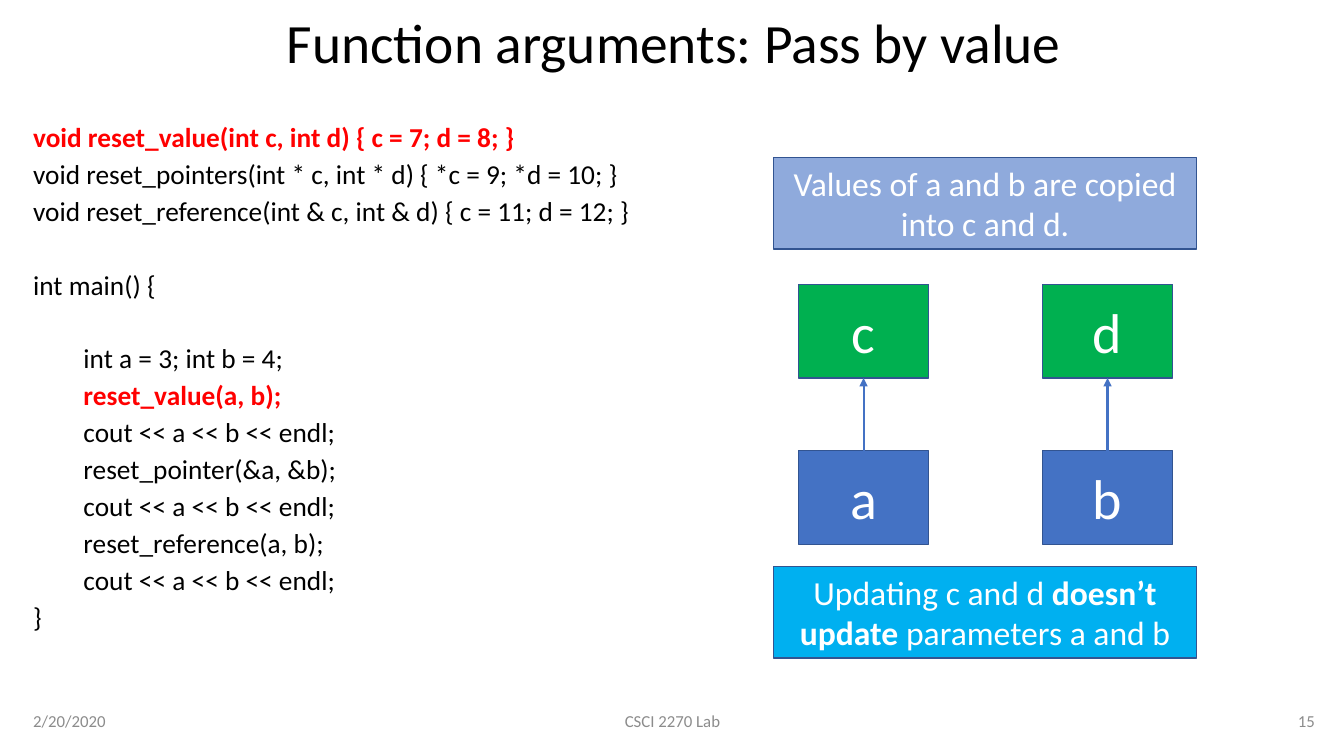
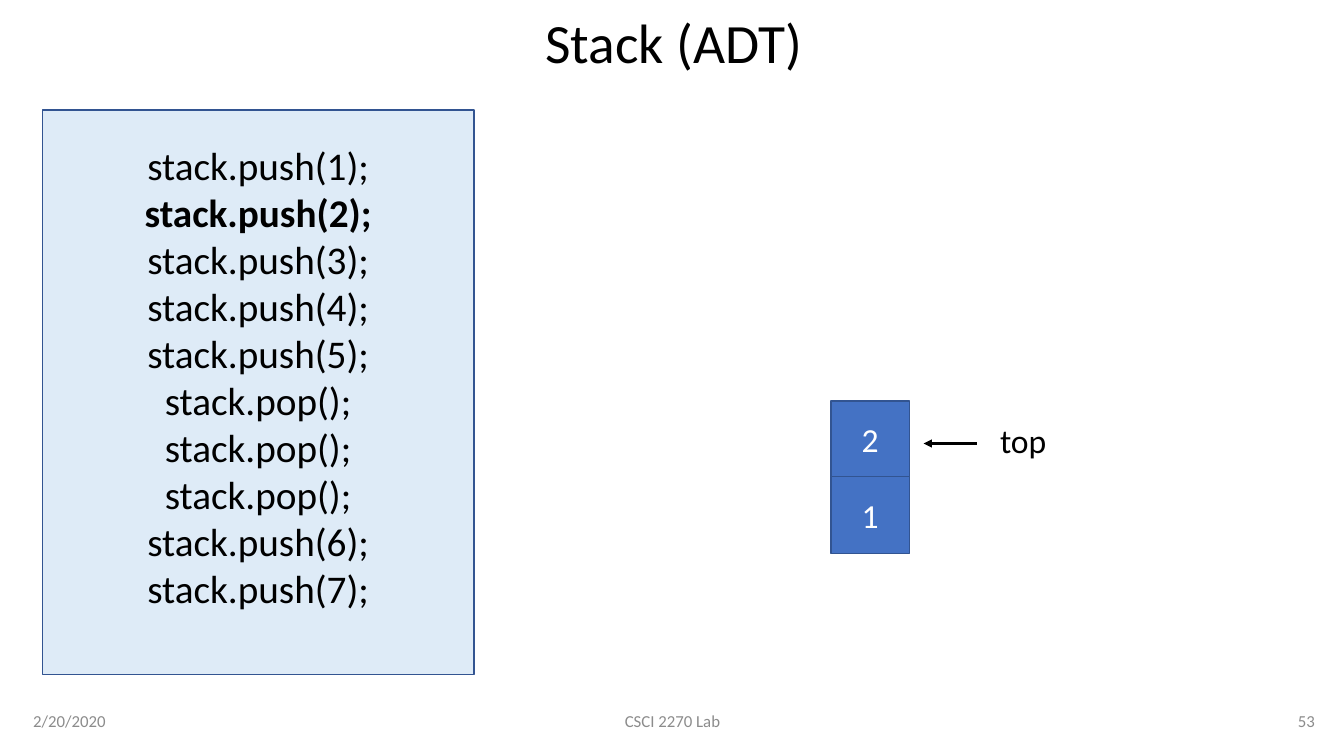
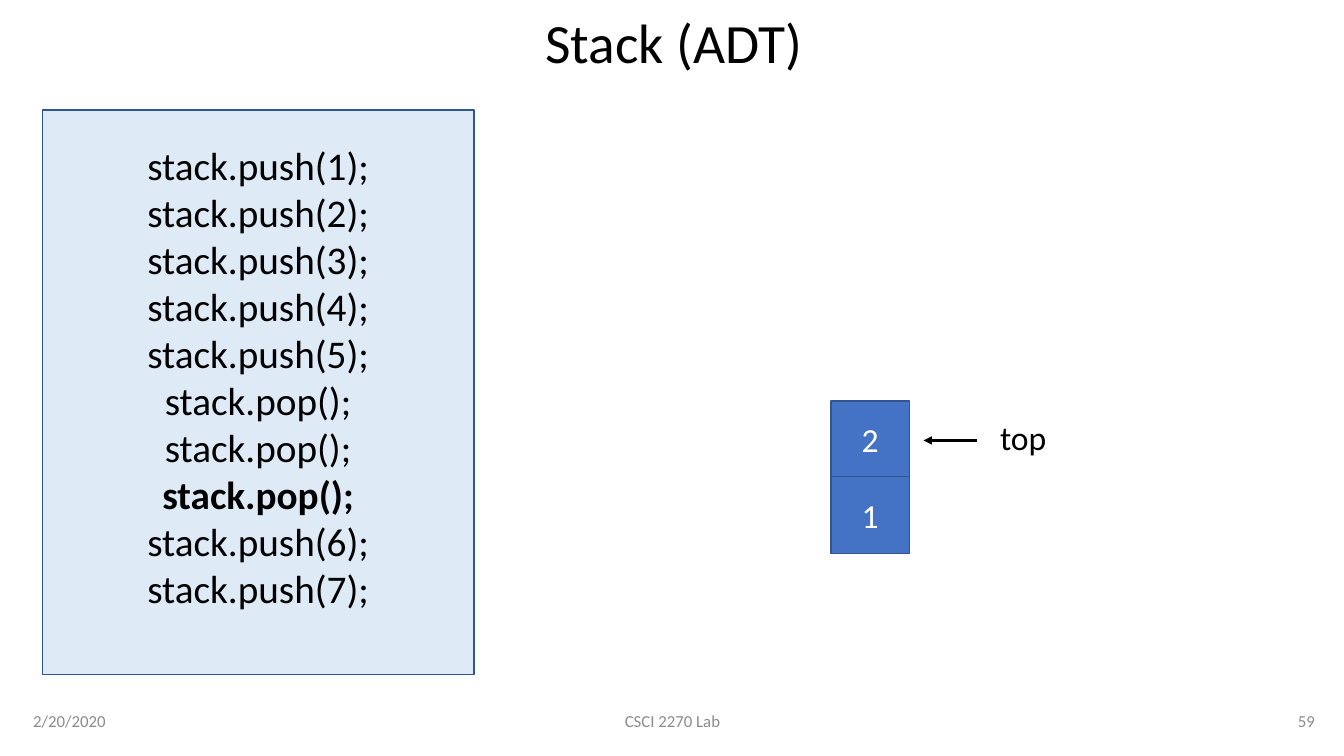
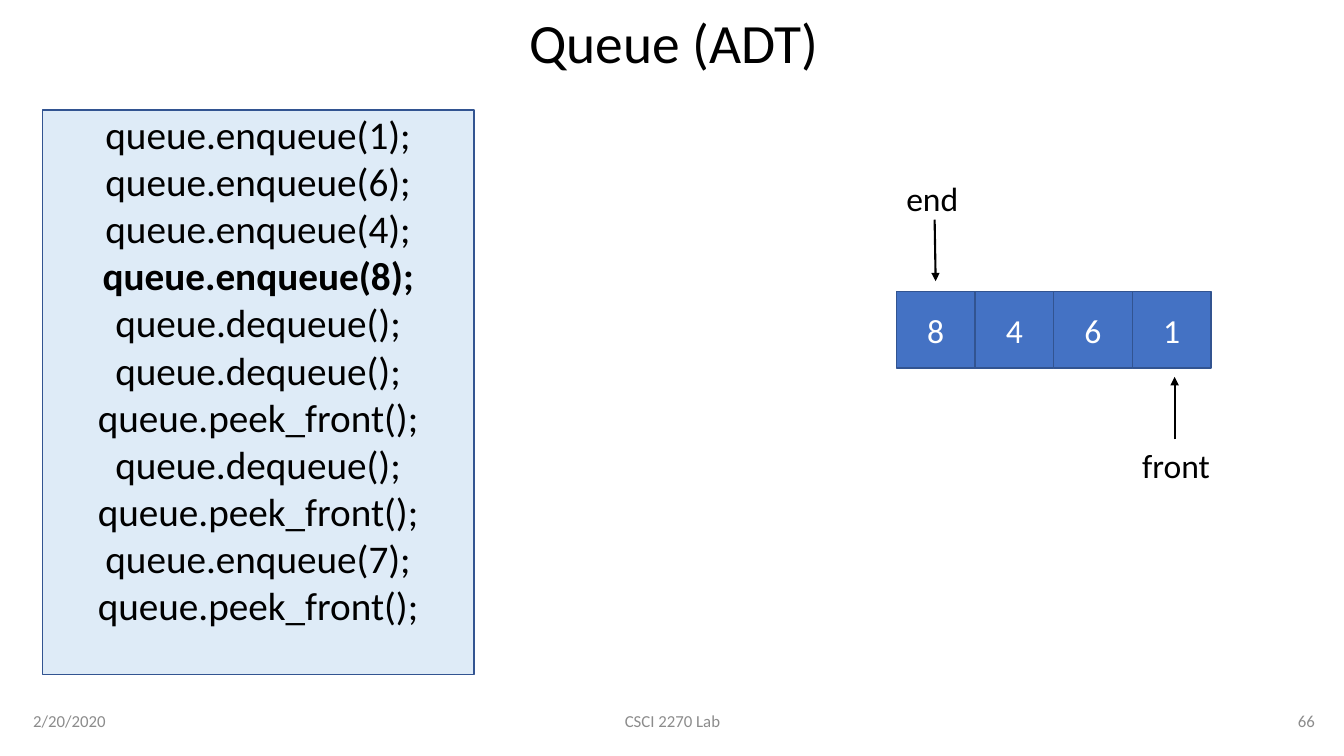
from dataclasses import dataclass

from pptx import Presentation
from pptx import util as u
from pptx.dml.color import RGBColor
from pptx.enum import shapes, text
from pptx.oxml import ns
from lxml import etree

PX = u.Inches(1) // 100


@dataclass(frozen=True)
class Theme:
    font: str = "Calibri"
    black: str = "000000"
    white: str = "FFFFFF"
    red: str = "FF0000"
    grey: str = "8C8C8C"
    blue: str = "4472C4"
    edge: str = "325491"
    green: str = "00B050"
    soft_blue: str = "8FAADC"
    sky: str = "00B0F0"
    panel: str = "DEEBF7"
    title_size: float = 39.6
    node_size: int = 40
    panel_size: int = 28
    label_size: int = 24
    code_size: float = 19.5
    code_pitch: float = 26.4
    footer_size: int = 12


THEME = Theme()
LEFT, CENTER, RIGHT = text.PP_ALIGN.LEFT, text.PP_ALIGN.CENTER, text.PP_ALIGN.RIGHT
TOP, MIDDLE = text.MSO_ANCHOR.TOP, text.MSO_ANCHOR.MIDDLE

DATE, COURSE = "2/20/2020", "CSCI 2270 Lab"
TITLE_BOX = (23, 15, 1291, 60)
FOOTER_BOXES = [((23, 695, 300, 40), LEFT), ((442, 695, 450, 40), CENTER), ((1014, 695, 300, 40), RIGHT)]
CODE_BOX = (23, 110, 700, 540)
PANEL_BOX = (42, 109, 428, 560)
CELL_W, CELL_H = 78, 76
NODE_W, NODE_H = 129, 93

CODE_BLOCKS = [
    [
        "void reset_value(int c, int d) { c = 7; d = 8; }",
        "void reset_pointers(int * c, int * d) { *c = 9; *d = 10; }",
        "void reset_reference(int & c, int & d) { c = 11; d = 12; }",
    ],
    ["int main() {"],
    [
        "\tint a = 3; int b = 4;",
        "\treset_value(a, b);",
        "\tcout << a << b << endl;",
        "\treset_pointer(&a, &b);",
        "\tcout << a << b << endl;",
        "\treset_reference(a, b);",
        "\tcout << a << b << endl;",
        "}",
    ],
]
CODE_HIGHLIGHT = "reset_value("
NODE_COLUMNS = [(792, "a", "c"), (1034, "b", "d")]
PARAMETER_Y, ARGUMENT_Y = 282, 447
CALLOUTS = [
    (156, THEME.soft_blue, [("Values of a and b are copied into c and d.", False)]),
    (562, THEME.sky, [("Updating c and d ", False), ("doesn’t update", True), (" parameters a and b", False)]),
]

STACK_CALLS = [
    "stack.push(1);", "stack.push(2);", "stack.push(3);", "stack.push(4);", "stack.push(5);",
    "stack.pop();", "stack.pop();", "stack.pop();", "stack.push(6);", "stack.push(7);",
]
QUEUE_CALLS = [
    "queue.enqueue(1);", "queue.enqueue(6);", "queue.enqueue(4);", "queue.enqueue(8);",
    "queue.dequeue(); queue.dequeue();", "queue.peek_front();", "queue.dequeue();",
    "queue.peek_front();", "queue.enqueue(7);", "queue.peek_front();",
]


def stack_slide(number, current, marker_y):
    return dict(
        title="Stack (ADT)", number=number, calls=STACK_CALLS, current=current, bottom_inset=36,
        cells=["2", "1"], origin=(824, 398), step=(0, CELL_H - 1),
        markers=[("top", (982, marker_y - 28, 78, 52), (969, marker_y), (916, marker_y))],
    )


ADT_SLIDES = [
    stack_slide("53", 1, 440),
    stack_slide("59", 7, 437),
    dict(
        title="Queue (ADT)", number="66", calls=QUEUE_CALLS, current=3, bottom_inset=50,
        cells=["8", "4", "6", "1"], origin=(889, 289), step=(CELL_W, 0),
        markers=[
            ("end", (889, 172, 99, 50), (927, 218), (928, 279)),
            ("front", (1123, 436, 99, 50), (1165, 436), (1165, 374)),
        ],
    ),
]


def emu(lengths):
    return [u.Emu(length * PX) for length in lengths]


def apply(target, formats):
    for name, value in formats.items():
        setattr(target, name, value)


def write(box, paras, size, color, align=LEFT, anchor=TOP, para_format=None):
    frame = box.text_frame
    apply(frame, dict(word_wrap=True, vertical_anchor=anchor))
    for index, spans in enumerate(paras):
        para = frame.paragraphs[0] if index == 0 else frame.add_paragraph()
        apply(para, dict(alignment=align, **(para_format or {})))
        for words, bold in spans:
            span = para.add_run()
            span.text = words
            apply(span.font, dict(name=THEME.font, size=u.Pt(size), bold=bold))
            span.font.color.rgb = RGBColor.from_string(color)
    return frame


def add_label(page, at, words, size, color, **style):
    box = page.shapes.add_textbox(*emu(at))
    return write(box, [[(words, False)]], size, color, **style)


def add_block(page, at, fill, paras, size, color=THEME.white):
    block = page.shapes.add_shape(shapes.MSO_SHAPE.RECTANGLE, *emu(at))
    block.shadow.inherit = False
    block.fill.solid()
    block.fill.fore_color.rgb = RGBColor.from_string(fill)
    block.line.color.rgb = RGBColor.from_string(THEME.edge)
    block.line.width = u.Pt(1)
    write(block, paras, size, color, align=CENTER, anchor=MIDDLE)
    return block


def add_arrow(page, start, end, color):
    arrow = page.shapes.add_connector(shapes.MSO_CONNECTOR.STRAIGHT, *emu(start + end))
    arrow.line.color.rgb = RGBColor.from_string(color)
    arrow.line.width = u.Pt(1.5)
    properties = arrow.element.spPr
    etree.SubElement(properties.find(ns.qn("a:ln")), ns.qn("a:tailEnd"), type="triangle")
    etree.SubElement(properties, ns.qn("a:effectLst"))
    return arrow


def add_page(deck, title, number):
    page = deck.slides.add_slide(deck.slide_layouts[6])
    add_label(page, TITLE_BOX, title, THEME.title_size, THEME.black,
              align=CENTER, anchor=MIDDLE, para_format=dict(line_spacing=0.9))
    for (at, align), words in zip(FOOTER_BOXES, (DATE, COURSE, number)):
        add_label(page, at, words, THEME.footer_size, THEME.grey, align=align, anchor=MIDDLE)
    return page


def add_code(page):
    lines = [line for block in CODE_BLOCKS for line in block]
    box = page.shapes.add_textbox(*emu(CODE_BOX))
    pitch = u.Pt(THEME.code_pitch)
    frame = write(box, [[(line, CODE_HIGHLIGHT in line)] for line in lines],
                  THEME.code_size, THEME.black, para_format=dict(line_spacing=pitch))
    for para in frame.paragraphs:
        for span in para.runs:
            if span.font.bold:
                span.font.color.rgb = RGBColor.from_string(THEME.red)
    first = 0
    for block in CODE_BLOCKS[:-1]:
        first += len(block)
        frame.paragraphs[first].space_before = pitch


def build_arguments(deck):
    page = add_page(deck, "Function arguments: Pass by value", "15")
    add_code(page)
    for x, argument, parameter in NODE_COLUMNS:
        source, target = [
            add_block(page, (x, y, NODE_W, NODE_H), fill, [[(name, False)]], THEME.node_size)
            for y, fill, name in ((ARGUMENT_Y, THEME.blue, argument), (PARAMETER_Y, THEME.green, parameter))
        ]
        middle = x + NODE_W // 2
        arrow = add_arrow(page, (middle, ARGUMENT_Y), (middle, PARAMETER_Y + NODE_H), THEME.blue)
        arrow.begin_connect(source, 0)
        arrow.end_connect(target, 2)
    for y, fill, spans in CALLOUTS:
        add_block(page, (767, y, 420, 91), fill, [spans], THEME.label_size)


def build_adt(deck, content):
    page = add_page(deck, content["title"], content["number"])
    calls = [[(call, index == content["current"])] for index, call in enumerate(content["calls"])]
    panel = add_block(page, PANEL_BOX, THEME.panel, calls, THEME.panel_size, THEME.black)
    panel.text_frame.margin_bottom = u.Emu(content["bottom_inset"] * PX)
    (x, y), (dx, dy) = content["origin"], content["step"]
    for index, value in enumerate(content["cells"]):
        at = (x + index * dx, y + index * dy, CELL_W, CELL_H)
        add_block(page, at, THEME.blue, [[(value, False)]], THEME.label_size)
    for words, at, start, end in content["markers"]:
        add_label(page, at, words, THEME.label_size, THEME.black)
        add_arrow(page, start, end, THEME.black)


def main():
    deck = Presentation()
    deck.slide_width, deck.slide_height = emu((1333, 750))
    build_arguments(deck)
    for content in ADT_SLIDES:
        build_adt(deck, content)
    deck.save("out.pptx")


if __name__ == "__main__":
    main()
